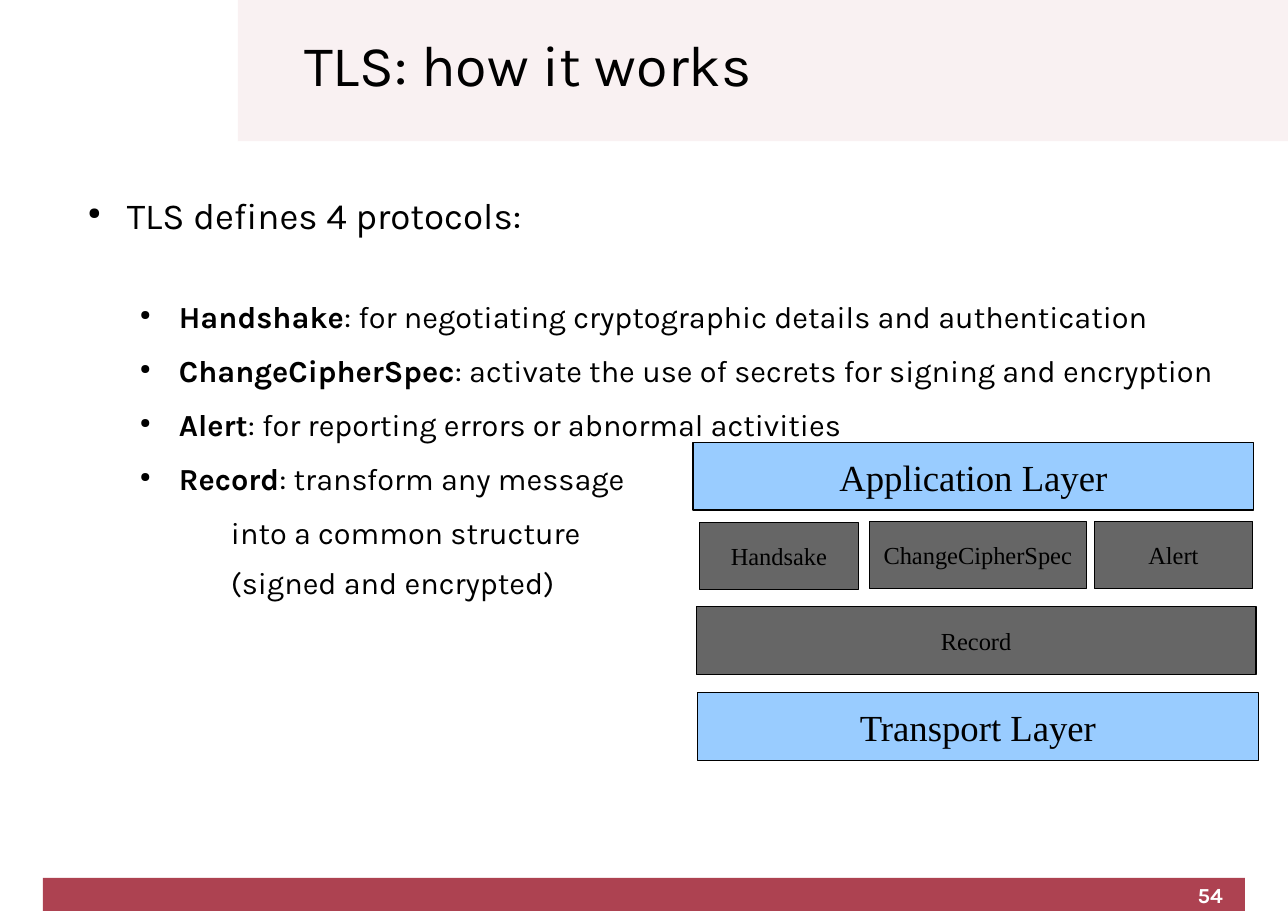
from lxml.etree import SubElement
from pptx import Presentation
from pptx.dml.color import RGBColor
from pptx.enum.shapes import MSO_SHAPE as Shape
from pptx.enum.text import MSO_ANCHOR as Anchor, MSO_AUTO_SIZE as AutoSize, PP_ALIGN as Align
from pptx.oxml.ns import qn
from pptx.util import Pt

SANS, SERIF = "Karla", "Times New Roman"
BLACK, WHITE = "000000", "FFFFFF"
BLUSH, CRIMSON = "F9F1F2", "AD4251"
SKY, GREY = "99CCFF", "666666"

PROTOCOLS = [
    ("Handshake", ": for negotiating cryptographic details and authentication"),
    ("ChangeCipherSpec", ": activate the use of secrets for signing and encryption"),
    ("Alert", ": for reporting errors or abnormal activities"),
    ("Record", ": transform any message"),
]
RECORD_DETAILS = ["into a common structure", "(signed and encrypted)"]

LAYER_HEIGHT = 44
# label, left, top, width, fill, text size
LAYERS = [
    ("Application Layer", 452.9, 289.4, 366.5, SKY, 24),
    ("Transport Layer", 455.8, 452.9, 366.5, SKY, 24),
    ("Handsake", 457.2, 341.3, 103.7, GREY, 16),
    ("ChangeCipherSpec", 568.1, 340.6, 141.8, GREY, 16),
    ("Alert", 715, 340.6, 103.7, GREY, 16),
    ("Record", 455, 396.7, 365.8, GREY, 16),
]


def rgb(value):
    return RGBColor.from_string(value)


def add_text(paragraph, text, size=20, font=SANS, color=BLACK, bold=False):
    run = paragraph.add_run()
    run.text = text
    run.font.size = Pt(size)
    run.font.name = font
    run.font.bold = bold
    run.font.color.rgb = rgb(color)


def set_frame(frame, inset_x=0, inset_y=0, anchor=Anchor.TOP, wrap=True):
    frame.margin_left = frame.margin_right = Pt(inset_x)
    frame.margin_top = frame.margin_bottom = Pt(inset_y)
    frame.vertical_anchor = anchor
    frame.word_wrap = wrap
    frame.auto_size = AutoSize.NONE


def set_indent(paragraph, left, hanging=0, level=0, bullet=False):
    paragraph.level = level
    properties = paragraph._p.get_or_add_pPr()
    properties.set("marL", str(Pt(left)))
    properties.set("indent", str(-Pt(hanging)))
    if bullet:
        color = SubElement(properties, qn("a:buClr"))
        SubElement(color, qn("a:srgbClr"), val=BLACK)
        SubElement(properties, qn("a:buSzPct"), val="45000")
        SubElement(properties, qn("a:buChar"), char="●")


def add_box(slide, left, top, width, height, fill, outlined=False):
    box = slide.shapes.add_shape(Shape.RECTANGLE, Pt(left), Pt(top), Pt(width), Pt(height))
    box.shadow.inherit = False
    box.fill.solid()
    box.fill.fore_color.rgb = rgb(fill)
    if outlined:
        box.line.color.rgb = rgb(BLACK)
        box.line.width = Pt(0)
    else:
        box.line.fill.background()
    return box


def add_text_frame(slide, left, top, width, height, **layout):
    frame = slide.shapes.add_textbox(Pt(left), Pt(top), Pt(width), Pt(height)).text_frame
    set_frame(frame, **layout)
    return frame


def add_title(slide, text):
    title = slide.shapes.title
    title.left, title.top, title.width, title.height = Pt(198.7), Pt(-4.3), Pt(601), Pt(99.4)
    set_frame(title.text_frame, anchor=Anchor.MIDDLE)
    heading = title.text_frame.paragraphs[0]
    heading.alignment = Align.LEFT
    heading.line_spacing = 0.8
    add_text(heading, text, size=37.6)


def add_protocol_list(slide):
    frame = add_text_frame(slide, 41.8, 122.4, 761.8, 393.1, inset_x=7.2, inset_y=3.6)
    intro = frame.paragraphs[0]
    set_indent(intro, 34, hanging=25.5, bullet=True)
    intro.space_after = Pt(40)
    add_text(intro, "TLS defines 4 protocols:", size=24)
    for name, purpose in PROTOCOLS:
        protocol = frame.add_paragraph()
        set_indent(protocol, 68, hanging=25.5, level=1, bullet=True)
        protocol.space_after = Pt(11.3)
        add_text(protocol, name, bold=True)
        add_text(protocol, purpose)
    for text in RECORD_DETAILS:
        detail = frame.add_paragraph()
        set_indent(detail, 102, level=2)
        detail.space_after = Pt(8.5)
        add_text(detail, text)


def add_layer(slide, label, left, top, width, fill, size):
    layer = add_box(slide, left, top, width, LAYER_HEIGHT, fill, outlined=True)
    set_frame(layer.text_frame, 7.2, 3.6, anchor=Anchor.MIDDLE, wrap=False)
    caption = layer.text_frame.paragraphs[0]
    caption.alignment = Align.CENTER
    add_text(caption, label, size=size, font=SERIF)


def add_page_number(slide, number):
    frame = add_text_frame(slide, 603.4, 576.7, 195.8, 16.6)
    page = frame.paragraphs[0]
    page.alignment = Align.RIGHT
    add_text(page, number, size=14, color=WHITE, bold=True)


def main():
    deck = Presentation()
    deck.slide_width, deck.slide_height = Pt(841.68), Pt(595.44)
    slide = deck.slides.add_slide(deck.slide_layouts[5])
    header = add_box(slide, 155.5, 0, 686.18, 92.2, BLUSH)
    # The title has to stay in front of its band.
    slide.shapes.title._element.addprevious(header._element)
    add_box(slide, 28.1, 573.8, 785.5, 21.6, CRIMSON)
    add_title(slide, "TLS: how it works")
    add_protocol_list(slide)
    for layer in LAYERS:
        add_layer(slide, *layer)
    add_page_number(slide, "54")
    deck.save("out.pptx")


if __name__ == "__main__":
    main()
